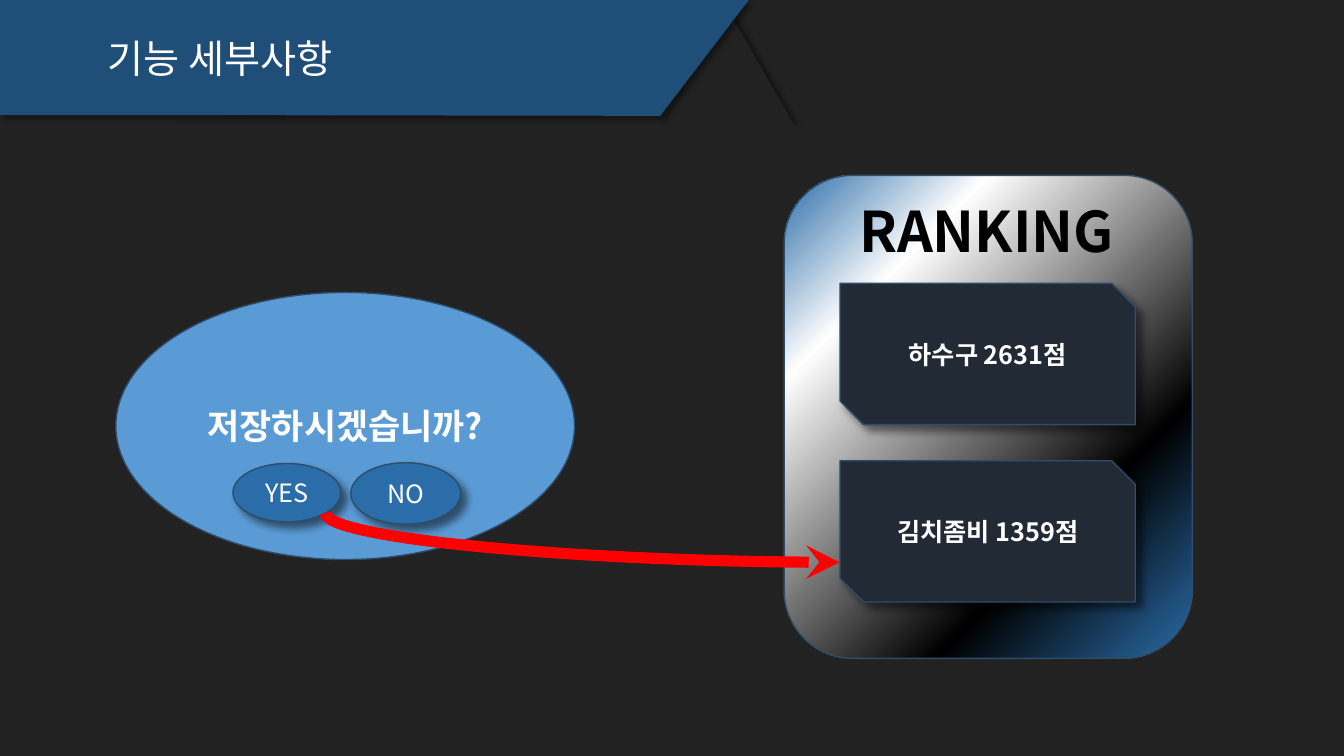
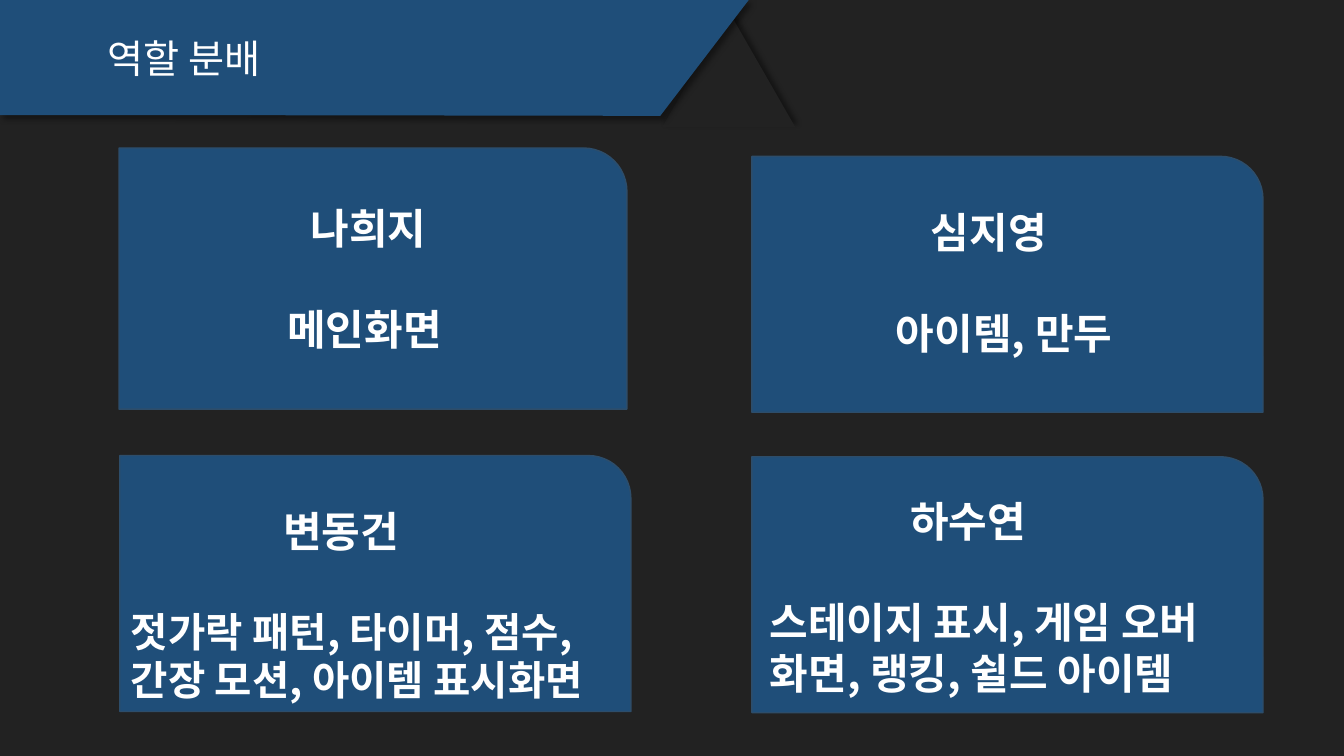
from lxml.etree import SubElement
from pptx import Presentation
from pptx.dml.color import RGBColor as Rgb
from pptx.enum.shapes import MSO_CONNECTOR as Link, MSO_SHAPE as Shape
from pptx.enum.text import MSO_ANCHOR as Anchor, MSO_AUTO_SIZE as AutoSize, PP_ALIGN as Align
from pptx.oxml.ns import qn
from pptx.util import Cm, Pt

FONT = "Noto Sans CJK KR"
COLORS = {
    "back": "222222", "band": "1F4E79", "edge": "2D4D6A", "entry": "222A35",
    "bubble": "5B9BD5", "button": "2B6DA9", "arrow": "FF0000",
    "white": "FFFFFF", "black": "000000",
}
TITLE = {"size": Pt(28), "bold": False}
HEADING = {"size": Pt(40), "bold": True}
QUESTION = {"size": Pt(25), "bold": True}
ENTRY = {"size": Pt(18), "bold": True}
BUTTON = {"size": Pt(18), "bold": False}
ROLE = {"size": Pt(30), "bold": True}
LONG_ROLE = {**ROLE, "size": Pt(29)}
BAND_SHADOW = {"alpha": 40, "blur": 4, "distance": 3}
RAISED = {"alpha": 50, "blur": 6, "distance": 6, "angle": 45}


def rgb(name):
    """Return the named colour."""
    return Rgb.from_string(COLORS[name])


def apply(target, values):
    """Set each attribute in values on target."""
    for name, value in values.items():
        setattr(target, name, value)


def write(para, text, style, color="white"):
    """Put one formatted span into a paragraph."""
    span = para.add_run()
    span.text = text
    apply(span.font, {"name": FONT, **style})
    span.font.color.rgb = rgb(color)
    SubElement(span.font._element, qn("a:ea"), typeface=FONT)


def add_shadow(shape, alpha, blur, distance, angle):
    """Give a shape an outer shadow."""
    effects = shape.element.spPr.find(qn("a:effectLst"))
    outer = SubElement(effects, qn("a:outerShdw"), blurRad=str(Pt(blur)), dist=str(Pt(distance)),
                       dir=str(angle * 60000), algn="ctr", rotWithShape="0")
    tint = SubElement(outer, qn("a:srgbClr"), val=COLORS["black"])
    SubElement(tint, qn("a:alpha"), val=str(alpha * 1000))


def paint(shape, fill, edge=None, shadow=None):
    """Set the fill, outline and shadow of a shape."""
    shape.shadow.inherit = False
    shape.fill.solid()
    shape.fill.fore_color.rgb = rgb(fill)
    if edge:
        shape.line.color.rgb = rgb(edge)
        shape.line.width = Pt(1)
    else:
        shape.line.fill.background()
    if shadow:
        add_shadow(shape, **shadow)


def add_box(page, kind, place, fill, edge="edge", shadow=None, text=None, style=None):
    """Add a preset shape with optional centred text."""
    box = page.shapes.add_shape(kind, *map(Cm, place))
    paint(box, fill, edge, shadow)
    if text:
        apply(box.text_frame, {"word_wrap": True, "vertical_anchor": Anchor.MIDDLE})
        para = box.text_frame.paragraphs[0]
        para.alignment = Align.CENTER
        write(para, text, style)
    return box


def add_text(page, place):
    """Add a wrapping text box and return its frame."""
    frame = page.shapes.add_textbox(*map(Cm, place)).text_frame
    frame.word_wrap = True
    return frame


def add_gradient(shape, stops, angle):
    """Replace the fill of a shape with a linear gradient."""
    shape.fill.gradient()
    grad = shape.element.spPr.find(qn("a:gradFill"))
    for child in list(grad):
        grad.remove(child)
    listing = SubElement(grad, qn("a:gsLst"))
    for position, name in stops:
        stop = SubElement(listing, qn("a:gs"), pos=str(position * 1000))
        SubElement(stop, qn("a:srgbClr"), val=COLORS[name])
    SubElement(grad, qn("a:lin"), ang=str(angle * 60000), scaled="0")


def add_curved_arrow(page, start, end):
    """Add an arrow that leaves downwards and arrives from the left."""
    (x1, y1), (x2, y2) = start, end
    middle_x, middle_y = (x1 + x2) / 2, (y1 + y2) / 2
    half_run, half_drop = (x2 - x1) / 2, (y2 - y1) / 2
    corners = (middle_x + half_drop, middle_y - half_run, middle_x - half_drop, middle_y + half_run)
    arrow = page.shapes.add_connector(Link.CURVE, *map(Cm, corners))
    arrow.rotation = 270
    arrow.line.color.rgb = rgb("arrow")
    arrow.line.width = Pt(8)
    props = arrow.element.spPr
    props.find(qn("a:prstGeom")).set("prst", "curvedConnector2")
    SubElement(props.find(qn("a:ln")), qn("a:tailEnd"), type="stealth")
    SubElement(props, qn("a:effectLst"))


def add_header(page, text):
    """Draw the title band and place the title on it."""
    add_box(page, Shape.ISOSCELES_TRIANGLE, (16.69, 0.28, 3.35, 2.92), "back", None,
            {**BAND_SHADOW, "angle": 315})
    outline = [(18.87, 0), (16.64, 2.92), (3.94, 2.9), (0, 2.9)]
    builder = page.shapes.build_freeform(0, 0)
    builder.add_line_segments([(Cm(x), Cm(y)) for x, y in outline], close=True)
    paint(builder.convert_to_shape(), "band", shadow={**BAND_SHADOW, "angle": 45})
    title = page.shapes.title
    page.shapes.element.append(title.element)
    apply(title, {"left": Cm(2.46), "top": Cm(0.74), "width": Cm(13), "height": Cm(1.42)})
    apply(title.text_frame, {"auto_size": AutoSize.NONE, "vertical_anchor": Anchor.TOP})
    para = title.text_frame.paragraphs[0]
    para.alignment = Align.LEFT
    write(para, text, TITLE)


def add_role(page, place, lines):
    """Add a name and its tasks, each as (text, indent, style)."""
    frame = add_text(page, place)
    for index, (text, indent, style) in enumerate(lines):
        para = frame.add_paragraph() if index else frame.paragraphs[0]
        para._p.get_or_add_pPr().set("marL", str(Cm(indent)))
        if index:
            para.space_before = Pt(36)
        write(para, text, style)


def add_page(deck):
    """Add a title-only page."""
    return deck.slides.add_slide(deck.slide_layouts[5])


def build_details(deck):
    """Build the page with the save question and the ranking."""
    page = add_page(deck)
    add_header(page, "기능 세부사항")
    panel = add_box(page, Shape.ROUNDED_RECTANGLE, (19.76, 4.42, 10.29, 12.17), "button")
    add_gradient(panel, [(0, "button"), (29, "black"), (77, "white"), (100, "button")], 225)
    for index, text in enumerate(["하수구 2631점", "김치좀비 1359점"]):
        add_box(page, Shape.SNIP_2_DIAG_RECTANGLE, (21.17, 7.14 + index * 4.47, 7.44, 3.56),
                "entry", shadow=RAISED, text=text, style=ENTRY)
    add_box(page, Shape.OVAL, (2.92, 7.37, 11.56, 6.73), "bubble",
            text="저장하시겠습니까?", style=QUESTION)
    heading = add_text(page, (21.41, 4.83, 7.11, 1.96))
    write(heading.paragraphs[0], "RANKING", HEADING, "black")
    for text, place in [("YES", (5.87, 11.68, 2.72, 1.47)), ("NO", (8.84, 11.66, 2.77, 1.55))]:
        add_box(page, Shape.OVAL, place, "button", shadow=RAISED, text=text, style=BUTTON)
    add_curved_arrow(page, (8.2, 12.93), (21.16, 14.17))


def build_roles(deck):
    """Build the page with the four role cards."""
    page = add_page(deck)
    roles = [
        ((3, 3.73, 12.8, 6.58), (5.51, 4.98, 8.46, 4.06),
         [("나희지", 2.07, ROLE), ("메인화면", 1.48, ROLE)]),
        ((18.95, 3.94, 12.88, 6.45), (21.44, 5.08, 8.46, 4.06),
         [("심지영", 1.77, ROLE), ("아이템, 만두", 0.89, ROLE)]),
        ((3.02, 11.48, 12.88, 6.45), (3.05, 12.62, 13.26, 5.23),
         [("변동건", 3.84, ROLE),
          ("젓가락 패턴, 타이머, 점수, 간장 모션, 아이템 표시화면", 0, LONG_ROLE)]),
        ((18.95, 11.51, 12.88, 6.45), (19.15, 12.37, 12.85, 5.31),
         [("하수연", 3.54, ROLE),
          ("스테이지 표시, 게임 오버 화면, 랭킹, 쉴드 아이템", 0, ROLE)]),
    ]
    for card, place, lines in roles:
        add_box(page, Shape.ROUND_1_RECTANGLE, card, "band")
        add_role(page, place, lines)
    add_header(page, "역할 분배")


def main():
    """Build and save the deck."""
    deck = Presentation()
    apply(deck, {"slide_width": Cm(33.87), "slide_height": Cm(19.05)})
    backdrop = deck.slide_master.background.fill
    backdrop.solid()
    backdrop.fore_color.rgb = rgb("back")
    build_details(deck)
    build_roles(deck)
    deck.save("out.pptx")


if __name__ == "__main__":
    main()
